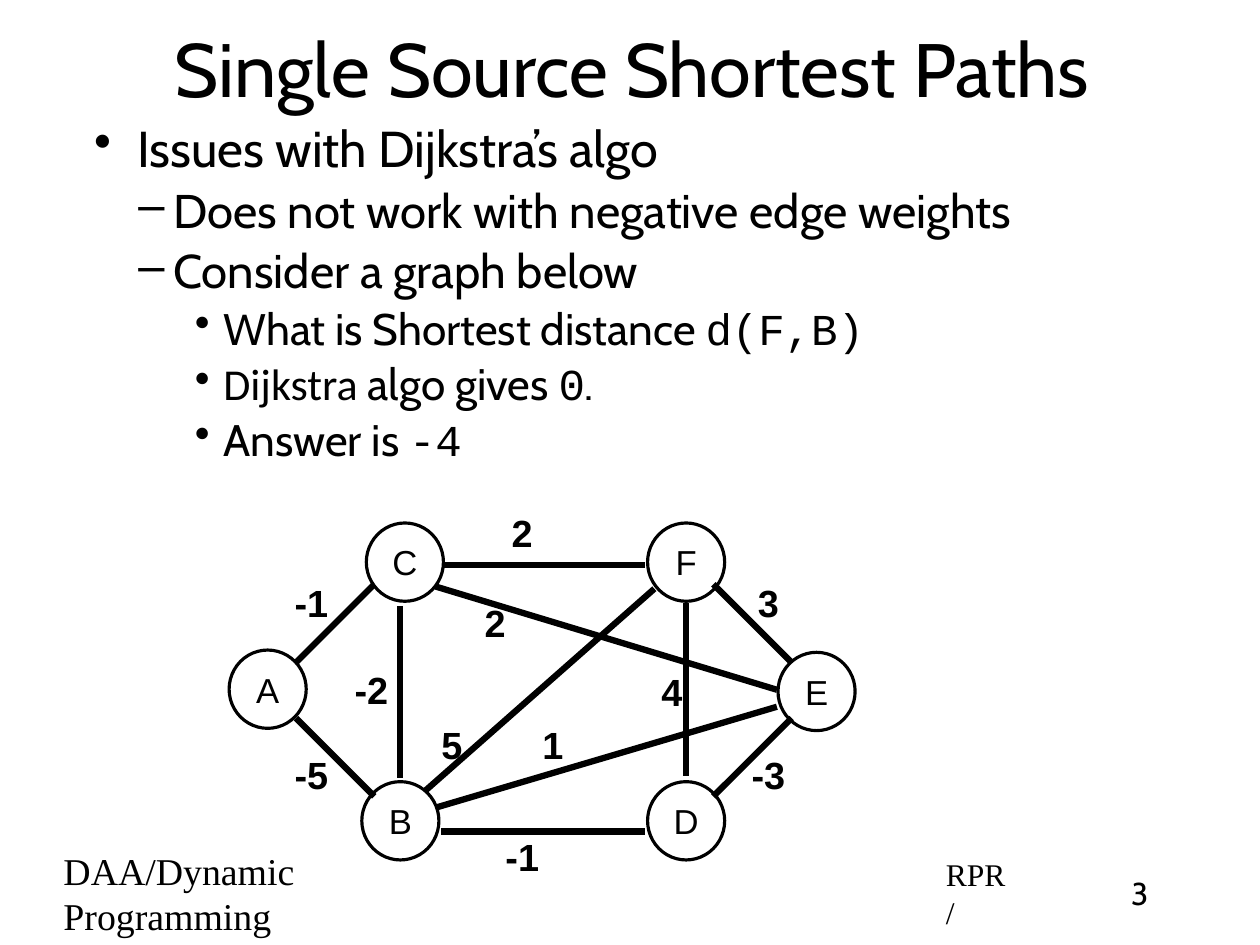
from dataclasses import dataclass

from lxml.etree import SubElement
from pptx import Presentation
from pptx.dml.color import RGBColor
from pptx.enum.shapes import MSO_CONNECTOR as Line, MSO_SHAPE as Shape
from pptx.enum.text import MSO_ANCHOR as Anchor, MSO_AUTO_SIZE as AutoSize, PP_ALIGN as Align
from pptx.oxml.ns import qn
from pptx.util import Inches, Pt


@dataclass(frozen=True)
class Theme:
    """Colours, fonts, type sizes and line widths of the slide."""
    ink: RGBColor = RGBColor(0, 0, 0)
    text: str = "Cabin"
    plain: str = "Calibri"
    code: str = "Courier New"
    footer: str = "Times New Roman"
    graph: str = "Arial"
    title_size: int = 48
    levels: tuple = (32, 30, 28)
    footer_size: int = 24
    small_size: int = 20
    node_size: int = 22
    weight_size: int = 24
    node_line: int = 2
    edge_line: int = 4


THEME = Theme()
INSET = Inches(0.06)
FRAME = dict(margin_left=INSET, margin_right=INSET, margin_top=INSET, margin_bottom=INSET,
             word_wrap=True, auto_size=AutoSize.NONE)
LEVELS = [
    dict(bullet="•", margin=0.42, hanging=-0.38, before=7),
    dict(bullet="–", margin=0.74, hanging=-0.31, before=6),
    dict(bullet="•", margin=1.18, hanging=-0.25, before=5),
]
OUTLINE = [
    (0, [("Issues with Dijkstra’s algo", THEME.text)]),
    (1, [("Does not work with negative edge weights", THEME.text)]),
    (1, [("Consider a graph below", THEME.text)]),
    (2, [("What is Shortest distance ", THEME.text), ("d(F,B)", THEME.code)]),
    (2, [("Dijkstra ", THEME.plain), ("algo gives ", THEME.text),
         ("0", THEME.code), (".", THEME.text)]),
    (2, [("Answer is ", THEME.text), ("-4", THEME.code)]),
]
NODES = {"A": (0, 1.29), "B": (1.17, 2.45), "C": (1.21, 0.17),
         "D": (3.69, 2.45), "E": (4.84, 1.31), "F": (3.69, 0.17)}
EDGES = [
    ("-5", (0.59, 1.89), (1.28, 2.58), (0.5, 2.14)),
    ("-2", (1.51, 0.9), (1.51, 2.42), (1.03, 1.39)),
    ("-1", (1.87, 2.89), (3.67, 2.89), (2.36, 2.86)),
    ("-1", (0.59, 1.4), (1.28, 0.71), (0.5, 0.62)),
    ("2", (1.89, 0.54), (3.67, 0.54), (2.43, 0)),
    ("3", (4.27, 0.71), (4.96, 1.4), (4.6, 0.62)),
    ("-3", (4.27, 2.58), (4.96, 1.89), (4.53, 2.14)),
    ("2", (1.82, 0.73), (4.83, 1.64), (2.19, 0.8)),
    ("5", (1.73, 2.53), (3.75, 0.75), (1.81, 1.87)),
    ("1", (1.82, 2.68), (4.83, 1.79), (2.7, 1.87)),
    ("4", (4.03, 0.88), (4.03, 2.4), (3.75, 1.4)),
]


def apply(target, **values):
    """Set each given format value on the target."""
    for name, value in values.items():
        setattr(target, name, value)


def add_run(paragraph, text, font, size, bold=False):
    """Append a run of text in the theme's ink."""
    run = paragraph.add_run()
    run.text = text
    apply(run.font, name=font, size=Pt(size), bold=bold)
    run.font.color.rgb = THEME.ink


def write(shape, text, font, size, bold=False, align=Align.CENTER, anchor=Anchor.MIDDLE, margin=0):
    """Write one paragraph into a shape."""
    frame = shape.text_frame
    apply(frame, **FRAME, vertical_anchor=anchor)
    paragraph = frame.paragraphs[0]
    paragraph.alignment = align
    properties = paragraph._p.get_or_add_pPr()
    properties.set("marL", str(Inches(margin)))
    properties.set("indent", "0")
    add_run(paragraph, text, font, size, bold)


def add_title(slide, box):
    """Place and fill the title placeholder."""
    title = slide.shapes.title
    apply(title, **dict(zip(("left", "top", "width", "height"), map(Inches, box))))
    write(title, "Single Source Shortest Paths", THEME.text, THEME.title_size, margin=0.04)


def add_outline(slide, box):
    """Write the bulleted outline in the box."""
    frame = slide.shapes.add_textbox(*map(Inches, box)).text_frame
    apply(frame, **FRAME)
    for index, (level, runs) in enumerate(OUTLINE):
        style = LEVELS[level]
        paragraph = frame.add_paragraph() if index else frame.paragraphs[0]
        properties = paragraph._p.get_or_add_pPr()
        properties.set("marL", str(Inches(style["margin"])))
        properties.set("indent", str(Inches(style["hanging"])))
        SubElement(properties, qn("a:buChar")).set("char", style["bullet"])
        apply(paragraph, level=level, line_spacing=0.9,
              space_before=Pt(style["before"] if index else 0))
        for text, font in runs:
            add_run(paragraph, text, font, THEME.levels[level])


def add_graph(slide, left, top):
    """Draw the weighted graph from its top left corner."""
    shapes = slide.shapes.add_group_shape().shapes

    def place(point):
        return Inches(left + point[0]), Inches(top + point[1])

    for name, corner in NODES.items():
        node = shapes.add_shape(Shape.OVAL, *place(corner), Inches(0.68), Inches(0.69))
        node.shadow.inherit = False
        node.fill.background()
        node.line.color.rgb = THEME.ink
        node.line.width = Pt(THEME.node_line)
        write(node, name, THEME.graph, THEME.node_size)
    for _, start, end, _ in EDGES:
        edge = shapes.add_connector(Line.STRAIGHT, *place(start), *place(end))
        edge.line.color.rgb = THEME.ink
        edge.line.width = Pt(THEME.edge_line)
        SubElement(edge._element.spPr, qn("a:effectLst"))
    for weight, _, _, corner in EDGES:
        width = 0.45 if weight.startswith("-") else 0.31
        label = shapes.add_textbox(*place(corner), Inches(width), Inches(0.5))
        write(label, weight, THEME.graph, THEME.weight_size, bold=True)
        label.text_frame.word_wrap = False


def add_footer(slide, left, top):
    """Write the course, the author and the slide number along the bottom."""
    parts = [
        ("DAA/Dynamic Programming", 0, 2.6, THEME.footer, THEME.footer_size, Align.LEFT, 0.04),
        ("RPR/", 7.78, 0.72, THEME.footer, THEME.small_size, Align.LEFT, 0.04),
        ("3", 9.26, 0.66, THEME.text, THEME.small_size, Align.CENTER, 0),
    ]
    for text, offset, width, font, size, align, margin in parts:
        box = slide.shapes.add_textbox(Inches(left + offset), Inches(top), Inches(width), Inches(0.9))
        write(box, text, font, size, align=align, margin=margin)


def main():
    """Build the slide and save it."""
    deck = Presentation()
    apply(deck, slide_width=Inches(11.11), slide_height=Inches(8.33))
    slide = deck.slides.add_slide(deck.slide_layouts[5])
    add_title(slide, (0.83, 0.07, 9.44, 1.04))
    add_outline(slide, (0.73, 1.03, 9.9, 3.21))
    add_footer(slide, 0.46, 7.42)
    add_graph(slide, 2.02, 4.44)
    deck.save("out.pptx")


if __name__ == "__main__":
    main()
